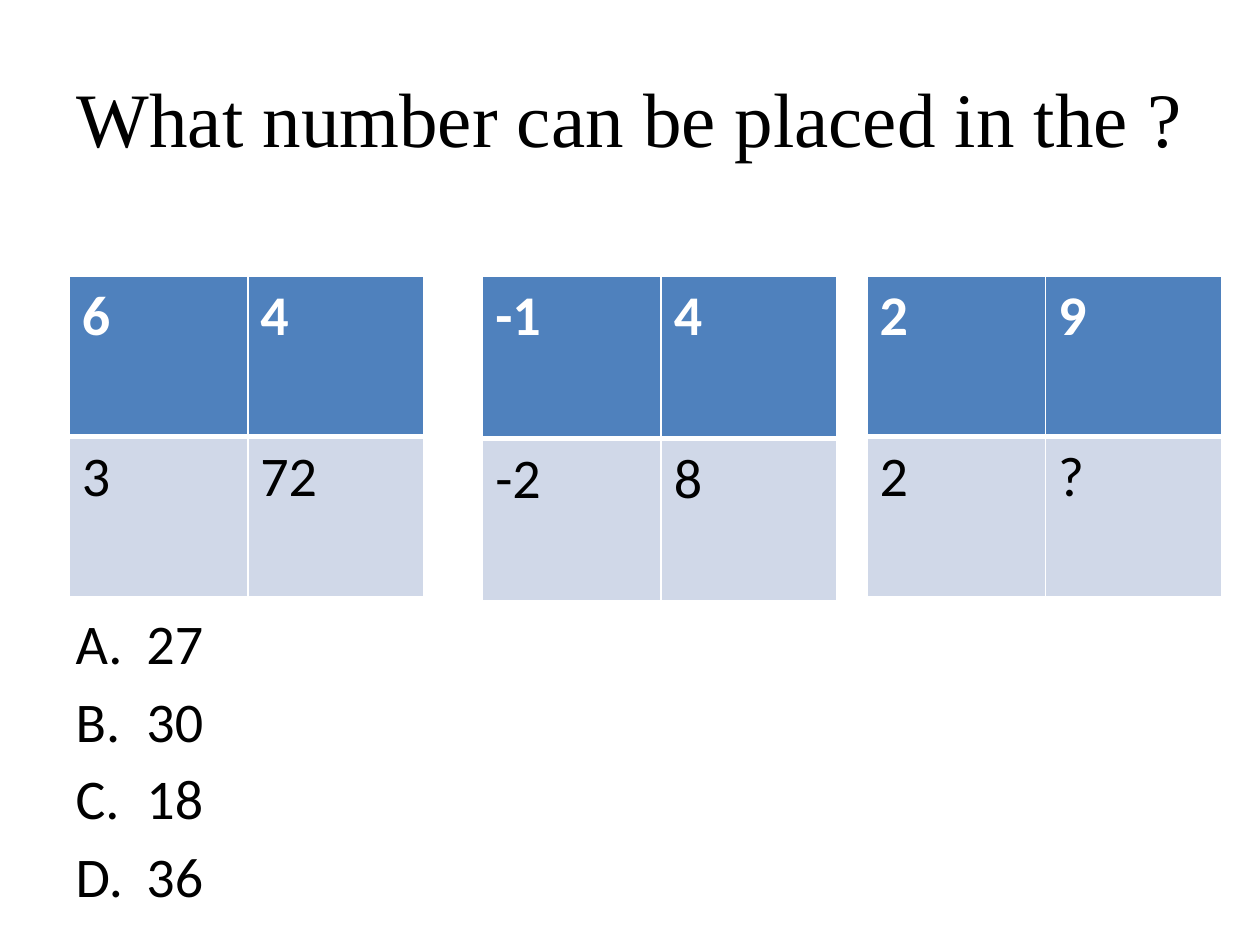
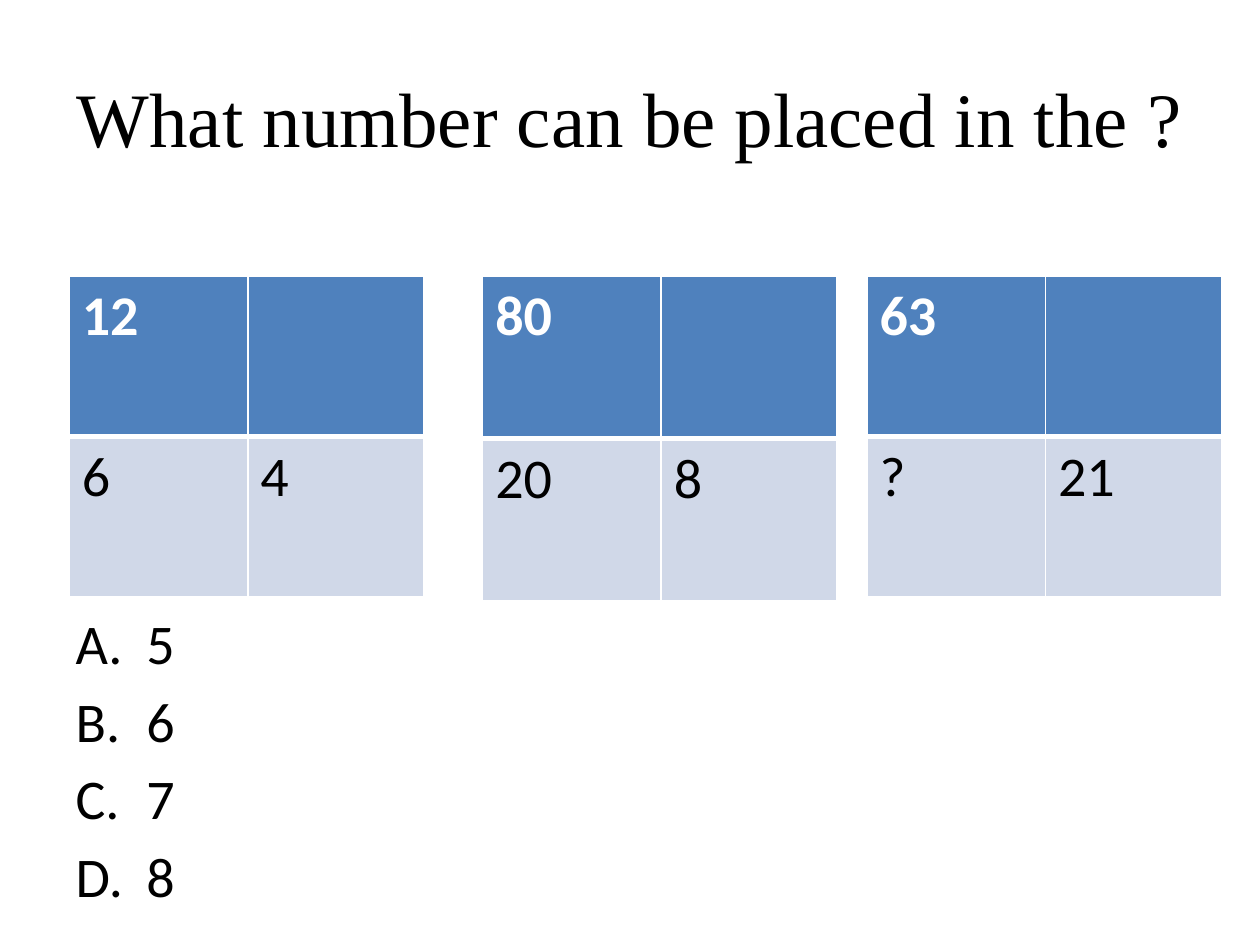
from lxml.etree import SubElement
from pptx import Presentation
from pptx.dml.color import RGBColor
from pptx.enum.text import MSO_ANCHOR, MSO_AUTO_SIZE, PP_ALIGN
from pptx.oxml.ns import qn
from pptx.util import Pt

BLACK = RGBColor(0x00, 0x00, 0x00)
WHITE = RGBColor(0xFF, 0xFF, 0xFF)
HEADER_BLUE = RGBColor(0x4F, 0x81, 0xBD)
ROW_BLUE = RGBColor(0xD0, 0xD8, 0xE8)

QUESTION = "What number can be placed in the ?"
GRID_TOP = 157.7
GRID_COLUMNS = (102, 100.5)
GRID_PLACES = ((39.6, 91.8), (275.8, 92.9), (495.4, 91.8))  # left, row height

PUZZLES = (
    (
        ((("6", "4"), ("3", "72")),
         (("-1", "4"), ("-2", "8")),
         (("2", "9"), ("2", "?"))),
        ("27", "30", "18", "36"),
    ),
    (
        ((("12", ""), ("6", "4")),
         (("80", ""), ("20", "8")),
         (("63", ""), ("?", "21"))),
        ("5", "6", "7", "8"),
    ),
)


def write(para, text, *, size=32, font="Calibri", color=BLACK, bold=False,
          align=PP_ALIGN.LEFT):
    para.alignment = align
    span = para.add_run()
    span.text = text
    span.font.size = Pt(size)
    span.font.name = font
    span.font.bold = bold
    span.font.color.rgb = color


def letter_item(para, indent):
    """Number the paragraph A., B., C. with a hanging indent."""
    properties = para._p.get_or_add_pPr()
    properties.set("marL", str(Pt(indent)))
    properties.set("indent", str(-Pt(indent)))
    SubElement(properties, qn("a:buFont"), typeface="+mj-lt")
    SubElement(properties, qn("a:buAutoNum"), type="alphaUcPeriod")


def border_cell(cell, **widths):
    """Draw white borders; widths are keyed L, R, T and B, in that order."""
    properties = cell._tc.get_or_add_tcPr()
    for side, width in widths.items():
        line = SubElement(properties, qn(f"a:ln{side}"), w=str(Pt(width)))
        fill = SubElement(line, qn("a:solidFill"))
        SubElement(fill, qn("a:srgbClr"), val=str(WHITE))


class PuzzleDeck:
    def __init__(self):
        self.deck = Presentation()
        self.deck.slide_width = Pt(720)
        self.deck.slide_height = Pt(540)
        self.page = None

    def add_page(self):
        self.page = self.deck.slides.add_slide(self.deck.slide_layouts[1])

    def place(self, box, left, top, width, height):
        box.left, box.top = Pt(left), Pt(top)
        box.width, box.height = Pt(width), Pt(height)
        box.text_frame.auto_size = MSO_AUTO_SIZE.NONE
        box.text_frame.word_wrap = True

    def add_title(self, text):
        box = self.page.shapes.title
        self.place(box, 36, 21.6, 648, 90)
        box.text_frame.vertical_anchor = MSO_ANCHOR.MIDDLE
        write(box.text_frame.paragraphs[0], text, size=44,
              font="Times New Roman", align=PP_ALIGN.CENTER)

    def add_answers(self, answers):
        box = self.page.placeholders[1]
        self.place(box, 36, 344, 648, 196)
        frame = box.text_frame
        for index, answer in enumerate(answers):
            para = frame.add_paragraph() if index else frame.paragraphs[0]
            para.space_before = Pt(6 if index else 0)
            letter_item(para, 40.5)
            write(para, answer)

    def add_grid(self, rows, left, row_height):
        frame = self.page.shapes.add_table(
            len(rows), len(GRID_COLUMNS), Pt(left), Pt(GRID_TOP),
            Pt(sum(GRID_COLUMNS)), Pt(row_height * len(rows)))
        table = frame.table
        for column, width in zip(table.columns, GRID_COLUMNS):
            column.width = Pt(width)
        for row_index, row in enumerate(rows):
            header = row_index == 0
            table.rows[row_index].height = Pt(row_height)
            for column_index, text in enumerate(row):
                cell = table.cell(row_index, column_index)
                border_cell(cell, L=1, R=1, T=1 if header else 3,
                            B=3 if header else 1)
                cell.fill.solid()
                cell.fill.fore_color.rgb = HEADER_BLUE if header else ROW_BLUE
                if text:
                    write(cell.text_frame.paragraphs[0], text, bold=header,
                          color=WHITE if header else BLACK)


def main():
    puzzle_deck = PuzzleDeck()
    for grids, answers in PUZZLES:
        puzzle_deck.add_page()
        puzzle_deck.add_title(QUESTION)
        puzzle_deck.add_answers(answers)
        for grid, (left, row_height) in zip(grids, GRID_PLACES):
            puzzle_deck.add_grid(grid, left, row_height)
    puzzle_deck.deck.save("out.pptx")


if __name__ == "__main__":
    main()
